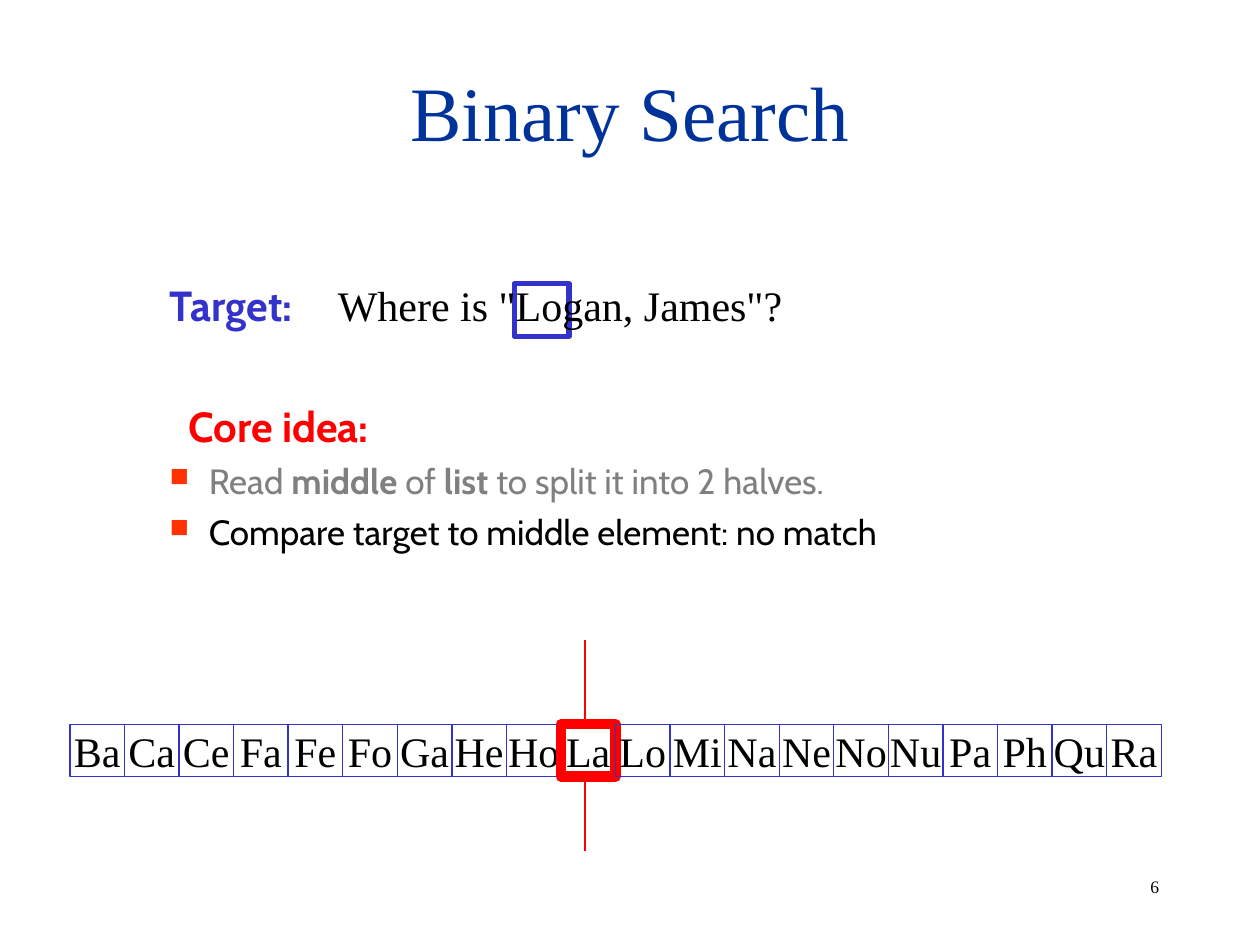
from lxml import etree
from pptx import Presentation
from pptx.dml.color import RGBColor
from pptx.enum.shapes import MSO_CONNECTOR, MSO_SHAPE
from pptx.enum.text import MSO_ANCHOR, PP_ALIGN
from pptx.oxml.ns import qn
from pptx.util import Cm, Pt

RECTANGLE = MSO_SHAPE.RECTANGLE
STRAIGHT = MSO_CONNECTOR.STRAIGHT
LEFT, CENTER = PP_ALIGN.LEFT, PP_ALIGN.CENTER
TOP, MIDDLE = MSO_ANCHOR.TOP, MSO_ANCHOR.MIDDLE

NAVY = RGBColor(0x00, 0x33, 0x99)
BLUE = RGBColor(0x33, 0x33, 0xCC)
RED = RGBColor(0xFF, 0x00, 0x00)
GRAY = RGBColor(0x80, 0x80, 0x80)
BLACK = RGBColor(0x00, 0x00, 0x00)
WHITE = RGBColor(0xFF, 0xFF, 0xFF)
BULLET_COLOR = "FF3300"

SERIF, SANS = "Times New Roman", "Cabin"

TITLE = "Binary Search"
QUESTION = 'Where is "Logan, James"?'
PAGE_NUMBER = "6"
NAMES = ["Ba", "Ca", "Ce", "Fa", "Fe", "Fo", "Ga", "He", "Ho", "La",
         "Lo", "Mi", "Na", "Ne", "No", "Nu", "Pa", "Ph", "Qu", "Ra"]
MIDDLE_NAME = "La"

# Spans (text, bold), then size, colour, space before, left margin, bullet
BODY = [
    ([("Target:", True)], 24, BLUE, 6, 1.27, False),
    ([("Core idea:", True)], 24, RED, 40.5, 1.65, False),
    ([("Read ", False), ("middle", True), (" of ", False), ("list", True),
      (" to split it into 2 halves.", False)], 20, GRAY, 5, 2.06, True),
    ([("Compare target to middle element: no match", False)],
     20, BLACK, 5, 2.06, True),
]
HANGING = 0.79

CELL_WIDTH, CELL_HEIGHT = 1.1, 1.06
LIST_LEFT, LIST_TOP = 1.41, 14.6


def add_span(para, text, font=SERIF, size=24, color=BLACK, bold=False):
    span = para.add_run()
    span.text = text
    span.font.name = font
    span.font.size = Pt(size)
    span.font.color.rgb = color
    span.font.bold = bold


def write(shape, text, align=LEFT, anchor=TOP, wrap=True, **style):
    frame = shape.text_frame
    frame.word_wrap = wrap
    frame.vertical_anchor = anchor
    para = frame.paragraphs[0]
    para.alignment = align
    add_span(para, text, **style)


def add_box(page, left, top, width, height):
    return page.shapes.add_textbox(Cm(left), Cm(top), Cm(width), Cm(height))


def add_frame(page, left, top, color=BLUE, weight=0.75, fill=None):
    """Add an outlined cell, empty unless a fill is given."""
    cell = page.shapes.add_shape(RECTANGLE, Cm(left), Cm(top),
                                 Cm(CELL_WIDTH), Cm(CELL_HEIGHT))
    cell.shadow.inherit = False
    if fill is None:
        cell.fill.background()
    else:
        cell.fill.solid()
        cell.fill.fore_color.rgb = fill
    cell.line.color.rgb = color
    cell.line.width = Pt(weight)
    return cell


def indent(para, margin, bullet):
    """Set the left margin in cm, with a hanging square bullet if wanted."""
    props = para._p.get_or_add_pPr()
    props.set("marL", str(Cm(margin)))
    props.set("indent", str(-Cm(HANGING) if bullet else 0))
    if bullet:
        color = etree.SubElement(props, qn("a:buClr"))
        etree.SubElement(color, qn("a:srgbClr"), val=BULLET_COLOR)
        etree.SubElement(props, qn("a:buSzPct"), val="75000")
        etree.SubElement(props, qn("a:buChar"), char="■")


def add_split_line(page):
    line = page.shapes.add_connector(STRAIGHT, Cm(11.79), Cm(17.15),
                                     Cm(11.79), Cm(12.9))
    line.line.color.rgb = RED
    line.line.width = Pt(0.75)
    etree.SubElement(line._element.spPr, qn("a:effectLst"))


def add_body(page):
    frame = add_box(page, 1.9, 5.5, 21.6, 11.43).text_frame
    frame.word_wrap = True
    for index, (spans, size, color, before, margin, bullet) in enumerate(BODY):
        para = frame.add_paragraph() if index else frame.paragraphs[0]
        para.space_before = Pt(before)
        indent(para, margin, bullet)
        for text, bold in spans:
            add_span(para, text, font=SANS, size=size, color=color, bold=bold)


def add_list(page):
    for index, name in enumerate(NAMES):
        if name == MIDDLE_NAME:
            look = {"color": RED, "weight": 6, "fill": WHITE}
        else:
            look = {}
        cell = add_frame(page, LIST_LEFT + index * CELL_WIDTH, LIST_TOP, **look)
        write(cell, name, align=CENTER, anchor=MIDDLE, wrap=False)


def main():
    deck = Presentation()
    deck.slide_width, deck.slide_height = Cm(25.4), Cm(19.05)
    page = deck.slides.add_slide(deck.slide_layouts[6])
    write(add_box(page, 22.94, 17.53, 1.98, 0.69), PAGE_NUMBER, size=10)
    write(add_box(page, 1.9, 0.64, 21.6, 3.18), TITLE,
          align=CENTER, anchor=MIDDLE, size=44, color=NAVY)
    add_split_line(page)
    add_body(page)
    add_list(page)
    add_frame(page, 10.37, 5.72, weight=3)
    write(add_box(page, 6.56, 5.5, 9.68, 1.27), QUESTION)
    deck.save("out.pptx")


if __name__ == "__main__":
    main()
